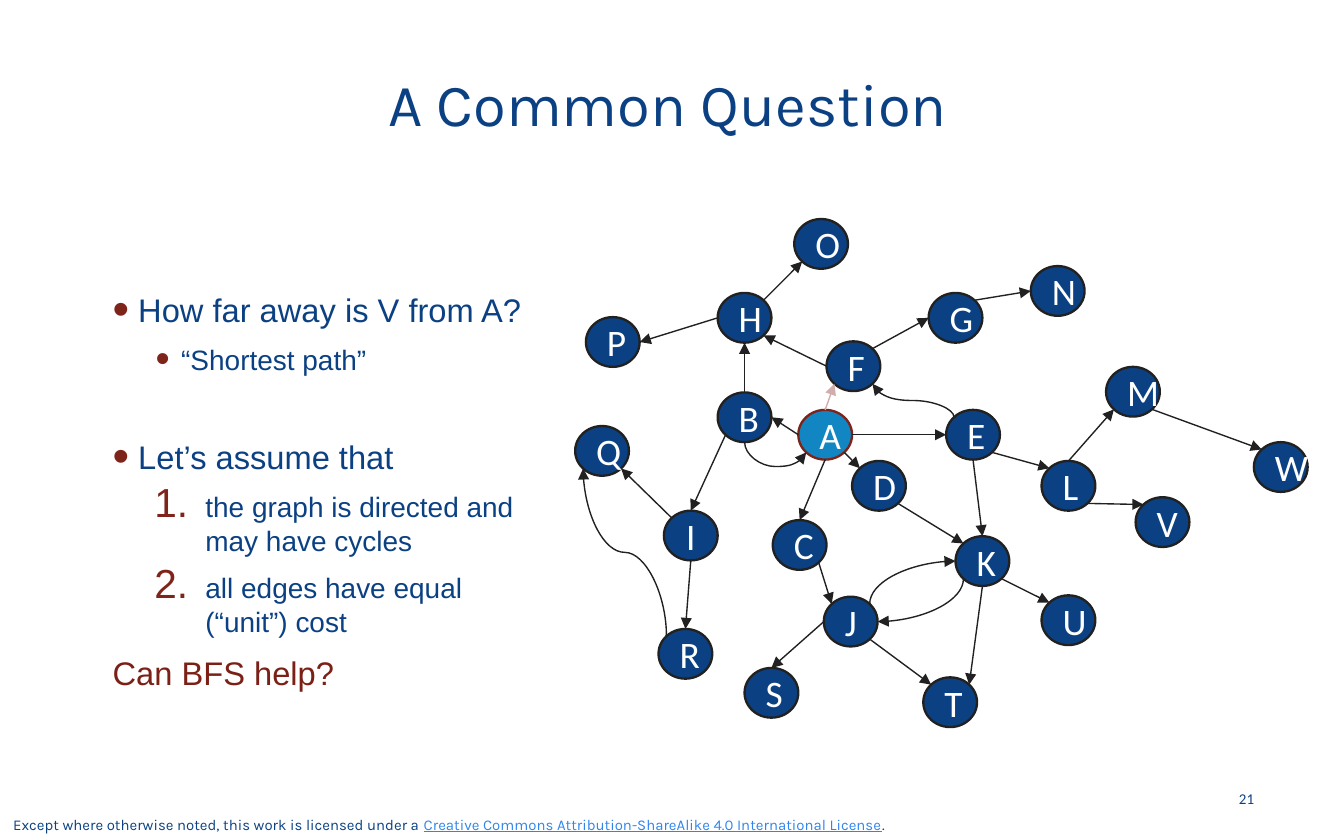
import pptx
import pptx.dml.color
import pptx.enum.shapes
import pptx.enum.text
import pptx.oxml.ns
import pptx.util
from lxml import etree

Inches, Pt = pptx.util.Inches, pptx.util.Pt
RGB = pptx.dml.color.RGBColor
qn = pptx.oxml.ns.qn
ALIGN = pptx.enum.text.PP_ALIGN
ANCHOR = pptx.enum.text.MSO_ANCHOR

NAVY = RGB(0x0B, 0x41, 0x83)
SKY = RGB(0x11, 0x86, 0xC3)
LINK = RGB(0x30, 0x85, 0xED)
INK = RGB(0x21, 0x21, 0x21)
MAROON = RGB(0x7D, 0x24, 0x1A)
BULLET_RED = RGB(0x7F, 0x24, 0x1A)
ANSWER_RED = RGB(0x7B, 0x20, 0x17)
PALE_RED = RGB(0xD1, 0xAE, 0xAC)
WHITE = RGB(0xFF, 0xFF, 0xFF)

# Content: wording
TITLE = "A Common Question"
LICENSE = [
    ("Except where otherwise noted, this work is licensed under a\u00a0", {"color": NAVY}),
    ("Creative Commons Attribution-ShareAlike 4.0 International License",
     {"color": LINK, "underline": True}),
    (".", {"color": NAVY}),
]
PAGE = "21"
# text, paragraph kind, space before in points
QUESTIONS = [
    ("How far away is V from A?", "point", 0),
    ("“Shortest path”", "detail", 3.5),
    ("Let’s assume that", "point", 29),
    ("the graph is directed and may have cycles", "step", 3.5),
    ("all edges have equal (“unit”) cost", "step", 3.5),
    ("Can BFS help?", "answer", 4),
]
# level, left margin, hanging indent, bullet element, size, colour
KINDS = {
    "point": (0, 0.19, 0.19, ("a:buChar", {"char": "•"}), 17.5, NAVY),
    "detail": (1, 0.51, 0.19, ("a:buChar", {"char": "•"}), 15, NAVY),
    "step": (1, 0.69, 0.38, ("a:buAutoNum", {"type": "arabicPeriod"}), 15, NAVY),
    "answer": (0, 0, 0, None, 17.5, ANSWER_RED),
}

# Content: graph, each node with its left and top
NODE_W, NODE_H = 0.4, 0.37
NODES = {
    "B": (5.34, 2.92), "C": (5.75, 3.87), "D": (6.34, 3.43), "F": (6.15, 2.54),
    "E": (7.04, 3.05), "A": (5.94, 3.05), "G": (6.91, 2.18), "L": (7.75, 3.43),
    "K": (7.11, 3.99), "J": (6.13, 4.44), "I": (4.94, 3.8), "H": (5.34, 2.18),
    "M": (8.23, 2.73), "V": (8.45, 3.7), "W": (9.33, 3.29), "U": (7.75, 4.43),
    "T": (6.87, 5.04), "S": (5.54, 4.97), "R": (4.9, 4.68), "Q": (4.28, 3.17),
    "P": (4.36, 2.36), "O": (5.91, 1.63), "N": (7.67, 1.98),
}
# Edges run from a side of one node to a side of another, by compass point
EDGES = """A.n F.sw, A.e E.w, A.se D.nw, A.s C.n, A.w B.e, B.n H.s, B.sw I.n,
C.se J.nw, D.se K.nw, E.se L.nw, F.ne G.w, L.n M.sw, M.se W.nw, F.w H.se,
H.ne O.sw, H.w P.e, I.nw Q.se, I.s R.n, J.w S.n, K.se U.nw, J.se T.nw,
K.s T.ne, E.s K.n, G.ne N.w, L.se V.nw"""
# Curved edges: ends, preset, rotation, flips, bend
CURVES = [
    ("B.s A.sw", "curvedConnector3", 270, ("flipH",), 238800),
    ("E.nw F.se", "curvedConnector3", 270, ("flipV",), 50000),
    ("J.ne K.w", "curvedConnector2", 90, ("flipH", "flipV"), None),
    ("K.sw J.e", "curvedConnector2", 90, (), None),
    ("R.nw Q.sw", "curvedConnector3", 270, ("flipV",), 50000),
]
DIAGONAL = 0.5 ** 0.5
DIRECTIONS = {"n": (0, -1), "s": (0, 1), "w": (-1, 0), "e": (1, 0)}

prs = pptx.Presentation()
prs.slide_width, prs.slide_height = Inches(10), Inches(6.25)
slide = prs.slides.add_slide(prs.slide_layouts[5])


def style(font, color, **values):
    for name, value in values.items():
        setattr(font, name, value)
    font.color.rgb = color


def write(paragraph, text, **values):
    run = paragraph.add_run()
    run.text = text
    style(run.font, **values)


def text_box(left, top, width, height, anchor):
    frame = slide.shapes.add_textbox(*map(Inches, (left, top, width, height))).text_frame
    frame.word_wrap = True
    frame.vertical_anchor = anchor
    return frame


def add_bullet(paragraph, tag, attributes):
    props = paragraph._p.get_or_add_pPr()
    color = etree.SubElement(props, qn("a:buClr"))
    etree.SubElement(color, qn("a:srgbClr"), val=str(BULLET_RED))
    etree.SubElement(props, qn("a:buSzPct"), val="145000")
    etree.SubElement(props, qn("a:buFont"), typeface="Arial")
    etree.SubElement(props, qn(tag), attributes)


def site(end):
    """Point on a node's rim, such as A.ne."""
    node, side = end.split(".")
    left, top = NODES[node]
    reach = DIAGONAL if len(side) == 2 else 1
    dx = sum(DIRECTIONS[c][0] for c in side) * reach
    dy = sum(DIRECTIONS[c][1] for c in side) * reach
    return left + NODE_W / 2 * (1 + dx), top + NODE_H / 2 * (1 + dy)


def add_edge(ends, kind, color=INK):
    start, finish = (site(end) for end in ends.split())
    edge = slide.shapes.add_connector(kind, *map(Inches, start + finish))
    edge.line.width = Pt(0.75)
    edge.line.color.rgb = color
    props = edge._element.spPr
    etree.SubElement(props.find(qn("a:ln")), qn("a:tailEnd"), type="triangle")
    etree.SubElement(props, qn("a:effectLst"))
    return edge


def bend(edge, preset, rotation, flips, adjust):
    """Turn the frame about its centre, which swaps width and height."""
    width, height = edge.width, edge.height
    edge.left += (width - height) // 2
    edge.top += (height - width) // 2
    edge.width, edge.height = height, width
    frame = edge._element.spPr.find(qn("a:xfrm"))
    frame.set("rot", str(rotation * 60000))
    for flip in ("flipH", "flipV"):
        frame.set(flip, "1" if flip in flips else "0")
    geometry = edge._element.spPr.find(qn("a:prstGeom"))
    geometry.set("prst", preset)
    if adjust:
        guides = geometry.find(qn("a:avLst"))
        etree.SubElement(guides, qn("a:gd"), name="adj1", fmla=f"val {adjust}")


# License line
license_line = text_box(0, 6.02, 7.5, 0.23, ANCHOR.BOTTOM).paragraphs[0]
for words, look in LICENSE:
    write(license_line, words, size=Pt(8), name="Karla", **look)

# Title
title = slide.shapes.title
title.left, title.top, title.width, title.height = map(Inches, (0.51, 0.17, 8.92, 1.19))
title.text_frame.vertical_anchor = ANCHOR.MIDDLE
heading = title.text_frame.paragraphs[0]
heading.alignment = ALIGN.CENTER
write(heading, TITLE, size=Pt(32), name="Karla", color=NAVY)

# Questions
questions = text_box(0.74, 1.63, 3.36, 4.04, ANCHOR.MIDDLE)
for index, (words, kind, before) in enumerate(QUESTIONS):
    level, margin, hanging, bullet, size, color = KINDS[kind]
    line = questions.add_paragraph() if index else questions.paragraphs[0]
    line.level = level
    props = line._p.get_or_add_pPr()
    props.set("marL", str(Inches(margin)))
    props.set("indent", str(-Inches(hanging)))
    if bullet:
        add_bullet(line, *bullet)
    if before:
        line.space_before = Pt(before)
    line.space_after = Pt(3.8)
    write(line, words, size=Pt(size), name="Arial", color=color)

# Page number
page = text_box(8.98, 5.78, 0.45, 0.33, ANCHOR.MIDDLE).paragraphs[0]
page.alignment = ALIGN.RIGHT
write(page, PAGE, size=Pt(8), name="Calibri", color=NAVY)

# Graph nodes, with the start node A picked out
for letter, (left, top) in NODES.items():
    node = slide.shapes.add_shape(pptx.enum.shapes.MSO_SHAPE.OVAL,
                                  *map(Inches, (left, top, NODE_W, NODE_H)))
    node.shadow.inherit = False
    node.fill.solid()
    node.fill.fore_color.rgb = SKY if letter == "A" else NAVY
    node.line.color.rgb = MAROON if letter == "A" else INK
    node.line.width = Pt(1.25)
    node.text_frame.vertical_anchor = ANCHOR.MIDDLE
    label = node.text_frame.paragraphs[0]
    label.alignment = ALIGN.CENTER
    write(label, letter, size=Pt(20), name="Calibri", color=WHITE)

# Graph edges
CONNECTOR = pptx.enum.shapes.MSO_CONNECTOR
for ends in EDGES.split(","):
    add_edge(ends, CONNECTOR.STRAIGHT, PALE_RED if ends == "A.n F.sw" else INK)
for ends, *shape in CURVES:
    bend(add_edge(ends, CONNECTOR.CURVE), *shape)

prs.save("out.pptx")
